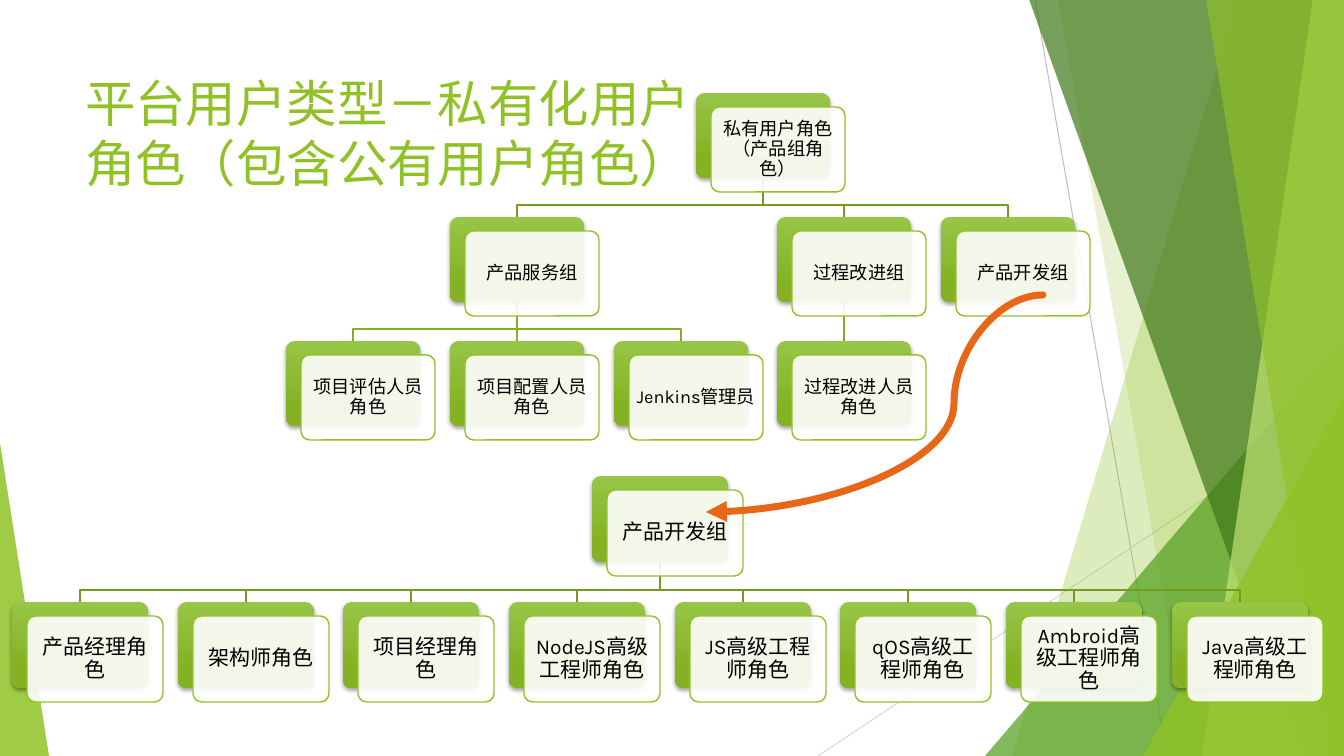
"""Build the slide on private user roles as two role trees joined by an arrow."""
from lxml.etree import SubElement
from pptx import Presentation
from pptx.dml.color import RGBColor
from pptx.enum.shapes import MSO_CONNECTOR as Link, MSO_SHAPE as Preset
from pptx.enum.text import MSO_ANCHOR as Anchor, MSO_AUTO_SIZE as AutoSize, PP_ALIGN as Align
from pptx.oxml.ns import qn
from pptx.util import Pt

PX = 914400 / 100.8
FONT = "Karla"
GREEN = "90C226"
TITLE = ["平台用户类型－私有化用户", "角色（包含公有用户角色）"]
TITLE_BOX = (75, 67, 947, 145)

RAYS = [((1035, 0), (1167, 756), "BFBFBF"), ((1344, 406), (818, 756), "D9D9D9")]
FACETS = [
    ("band", (1238, 1344, 1344, 1012), GREEN, 30),
    ("band", (1058, 1344, 1344, 1192), GREEN, 20),
    ("triangle", (985, 336, 359, 420, 1), "54A021", 72),
    ("band", (1029, 1344, 1344, 1301), "3F7819", 70),
    ("band", (1313, 1344, 1344, 1202), "C0E474", 70),
    ("band", (1206, 1344, 1344, 1329), GREEN, 65),
    ("triangle", (1143, 396, 201, 360, 1), GREEN, 80),
    ("triangle", (0, 443, 49, 313, 0), GREEN, 85),
]

# Each role: label, column, row, index of its parent
GROUP_ROLES = [
    ("私有用户角色（产品组角色）", 2.5, 0, None),
    ("产品服务组", 1, 1, 0),
    ("项目评估人员角色", 0, 2, 1),
    ("项目配置人员角色", 1, 2, 1),
    ("Jenkins管理员", 2, 2, 1),
    ("过程改进组", 3, 1, 0),
    ("过程改进人员角色", 3, 2, 5),
    ("产品开发组", 4, 1, 0),
]
DEVELOPER_LABELS = ["产品经理角色", "架构师角色", "项目经理角色", "NodeJS高级工程师角色",
                    "JS高级工程师角色", "qOS高级工程师角色", "Ambroid高级工程师角色", "Java高级工程师角色"]
DEVELOPER_ROLES = [("产品开发组", 3.5, 0, None)] + [
    (label, column, 1, 0) for column, label in enumerate(DEVELOPER_LABELS)]
TREES = [
    dict(roles=GROUP_ROLES, left=286, top=93, pitch=(163.8, 124), size=(134, 85), inset=5, points=13),
    dict(roles=DEVELOPER_ROLES, left=12, top=476, pitch=(165.7, 125.5), size=(136, 86), inset=6, points=15),
]
BRANCH_COLORS = {1: "739B1E", 2: "83B022"}
CARD_OFFSET = (15, 14)
BEND_RISE = 12
ARROW = ((1043, 295), (706, 512))


def emu(*lengths):
    return [round(length * PX) for length in lengths]


def rgb(code):
    return RGBColor.from_string(code)


def apply(target, formats):
    for name, value in formats.items():
        setattr(target, name, value)


def paint(shape, color, opacity):
    shape.fill.solid()
    shape.fill.fore_color.rgb = rgb(color)
    tint = shape.fill._xPr.find(qn("a:solidFill"))[0]
    SubElement(tint, qn("a:alpha"), val=str(opacity * 1000))


def outline(shape, color, points=1):
    shape.line.color.rgb = rgb(color)
    shape.line.width = Pt(points)


def add_line(shapes, start, end, color, points=1, kind=Link.STRAIGHT):
    line = shapes.add_connector(kind, *emu(*start, *end))
    outline(line, color, points)
    SubElement(line._element.spPr, qn("a:effectLst"))
    return line


def add_outline(shapes, corners, close):
    builder = shapes.build_freeform(*corners[0], scale=PX)
    builder.add_line_segments(corners[1:], close=close)
    shape = builder.convert_to_shape()
    shape.shadow.inherit = False
    return shape


def add_preset(shapes, kind, box, adjustment):
    shape = shapes.add_shape(kind, *emu(*box))
    shape.adjustments[0] = adjustment
    shape.shadow.inherit = False
    return shape


def add_facet(shapes, kind, place, color, opacity):
    if kind == "band":
        corners = list(zip(place, (-1, -1, 756, 756)))
        facet = add_outline(shapes, corners, True)
    else:
        facet = add_preset(shapes, Preset.ISOSCELES_TRIANGLE, place[:4], place[4])
    paint(facet, color, opacity)
    facet.line.fill.background()


def add_title(title):
    apply(title, dict(zip(("left", "top", "width", "height"), emu(*TITLE_BOX))))
    frame = title.text_frame
    apply(frame, dict(word_wrap=True, auto_size=AutoSize.NONE, vertical_anchor=Anchor.TOP))
    heading = frame.paragraphs[0]
    heading.alignment = Align.LEFT
    for index, words in enumerate(TITLE):
        if index:
            heading.add_line_break()
        run = heading.add_run()
        run.text = words
        apply(run.font, dict(name=FONT, size=Pt(36)))
        run.font.color.rgb = rgb(GREEN)


def add_branch(shapes, start, end, color):
    if abs(start[0] - end[0]) < 1:
        add_line(shapes, start, end, color)
        return
    bend = end[1] - BEND_RISE
    corners = [start, (start[0], bend), (end[0], bend), end]
    branch = add_outline(shapes, corners, False)
    branch.fill.background()
    outline(branch, color)


def add_role(shapes, label, corner, size, inset, points):
    back = add_preset(shapes, Preset.ROUNDED_RECTANGLE, (*corner, *size), 0.1)
    back.fill.gradient()
    back.fill.gradient_angle = 270
    for stop, (position, color) in zip(back.fill.gradient_stops, [(0, "97C547"), (0.78, "84B223")]):
        stop.position = position
        stop.color.rgb = rgb(color)
    back.line.fill.background()
    effects = back._element.spPr.find(qn("a:effectLst"))
    shadow = SubElement(effects, qn("a:outerShdw"), blurRad=str(Pt(3)), dist=str(Pt(2)),
                        dir="5400000", rotWithShape="0")
    shade = SubElement(shadow, qn("a:srgbClr"), val="000000")
    SubElement(shade, qn("a:alpha"), val="35000")

    front = [at + shift for at, shift in zip(corner, CARD_OFFSET)]
    card = add_preset(shapes, Preset.ROUNDED_RECTANGLE, (*front, *size), 0.1)
    paint(card, "FFFFFF", 90)
    outline(card, GREEN)
    frame = card.text_frame
    margins = {f"margin_{side}": emu(inset)[0] for side in ("left", "top", "right", "bottom")}
    apply(frame, dict(margins, word_wrap=True, vertical_anchor=Anchor.MIDDLE))
    caption = frame.paragraphs[0]
    apply(caption, dict(alignment=Align.CENTER, line_spacing=0.9))
    run = caption.add_run()
    run.text = label
    apply(run.font, dict(name=FONT, size=Pt(points)))
    run.font.color.rgb = rgb("000000")


def add_tree(shapes, roles, left, top, pitch, size, inset, points):
    corners = [(round(left + column * pitch[0]), round(top + row * pitch[1]))
               for _, column, row, _ in roles]
    half, height = size[0] / 2, size[1]
    for (_, _, row, parent), (x, y) in zip(roles, corners):
        if parent is not None:
            parent_x, parent_y = corners[parent]
            add_branch(shapes, (parent_x + half, parent_y + height), (x + half, y), BRANCH_COLORS[row])
    for (label, *_), corner in zip(roles, corners):
        add_role(shapes, label, corner, size, inset, points)


def add_arrow(shapes):
    arrow = add_line(shapes, *ARROW, "E76618", 5, Link.CURVE)
    guides = arrow._element.spPr.find(qn("a:prstGeom")).find(qn("a:avLst"))
    SubElement(guides, qn("a:gd"), name="adj1", fmla="val 26400")
    stroke = arrow.line._get_or_add_ln()
    stroke.set("cap", "rnd")
    SubElement(stroke, qn("a:tailEnd"), type="triangle")


def main():
    deck = Presentation()
    deck.slide_width, deck.slide_height = emu(1344, 756)
    slide = deck.slides.add_slide(deck.slide_layouts[5])
    shapes = slide.shapes
    for start, end, color in RAYS:
        add_line(shapes, start, end, color, 0.75)
    for facet in FACETS:
        add_facet(shapes, *facet)
    add_title(shapes.title)
    for tree in TREES:
        add_tree(shapes, **tree)
    add_arrow(shapes)
    deck.save("out.pptx")


if __name__ == "__main__":
    main()
